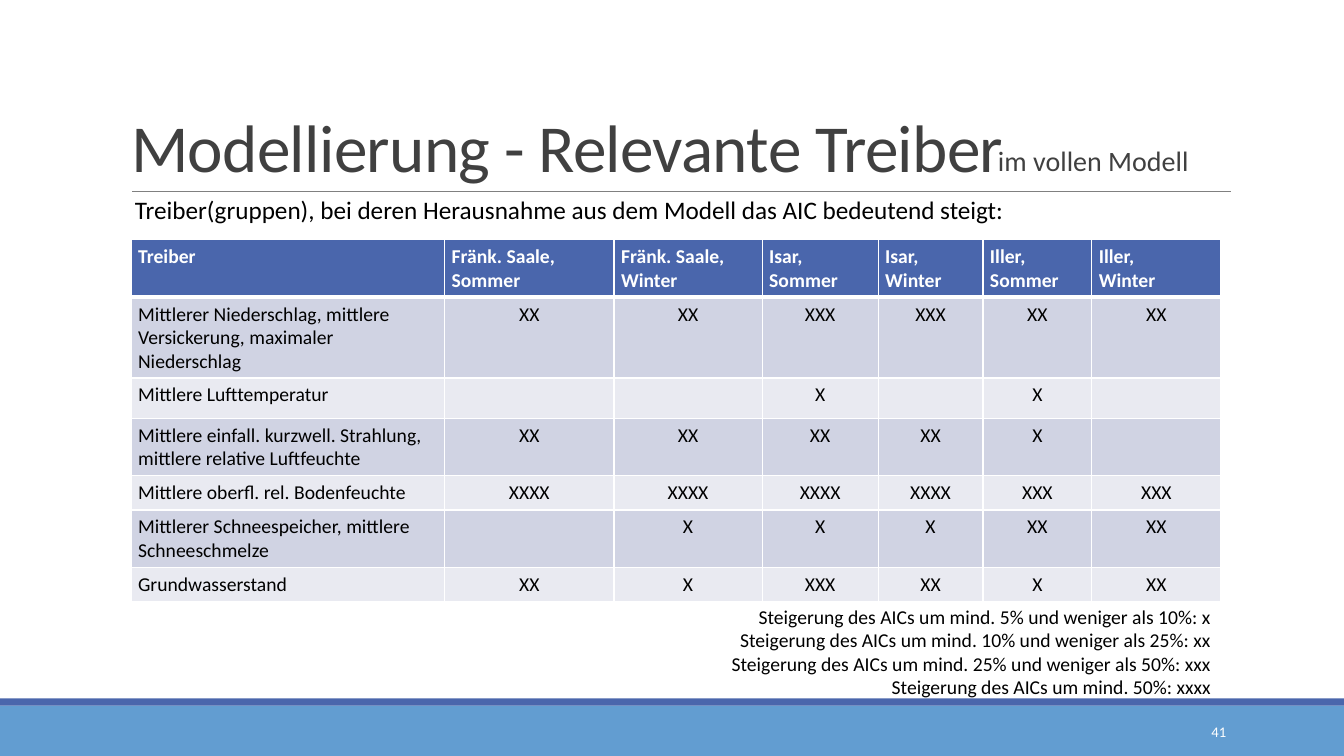
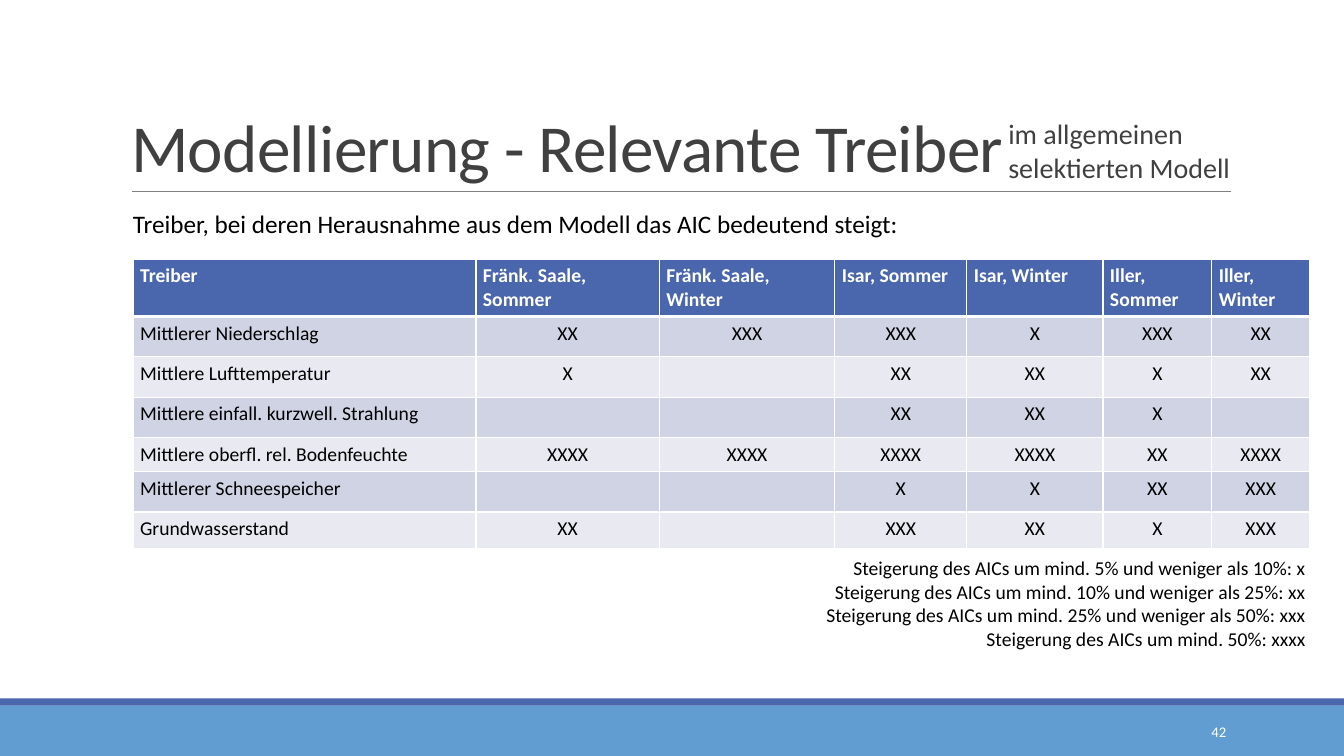
from lxml import etree
from pptx import Presentation
from pptx.dml.color import RGBColor
from pptx.enum.shapes import MSO_CONNECTOR, MSO_SHAPE
from pptx.enum.text import MSO_ANCHOR, MSO_AUTO_SIZE, PP_ALIGN
from pptx.oxml.ns import qn
from pptx.util import Inches, Pt

LEFT, CENTER, RIGHT = PP_ALIGN.LEFT, PP_ALIGN.CENTER, PP_ALIGN.RIGHT
TOP, MIDDLE, BOTTOM = MSO_ANCHOR.TOP, MSO_ANCHOR.MIDDLE, MSO_ANCHOR.BOTTOM
RECTANGLE, STRAIGHT, NO_FIT = MSO_SHAPE.RECTANGLE, MSO_CONNECTOR.STRAIGHT, MSO_AUTO_SIZE.NONE

WHITE = RGBColor(0xFF, 0xFF, 0xFF)
BLACK = RGBColor(0x00, 0x00, 0x00)
CHARCOAL = RGBColor(0x40, 0x40, 0x40)
GRAY = RGBColor(0x80, 0x80, 0x80)
SKY = RGBColor(0x62, 0x9D, 0xD1)
NAVY = RGBColor(0x4A, 0x66, 0xAC)
ROW_DARK = RGBColor(0xD0, 0xD3, 0xE3)
ROW_LIGHT = RGBColor(0xE9, 0xEA, 0xF1)

FONT = "Calibri"
CELL_SIZE = 14
TITLE_ONLY, TITLE_AND_BODY = 5, 1

TITLE = "Modellierung - Relevante Treiber"
LEGEND = [
    "Steigerung des AICs um mind. 5% und weniger als 10%: x",
    "Steigerung des AICs um mind. 10% und weniger als 25%: xx",
    "Steigerung des AICs um mind. 25% und weniger als 50%: xxx",
    "Steigerung des AICs um mind. 50%: xxxx",
]
HEADINGS = ["Treiber", "Fränk. Saale, Sommer", "Fränk. Saale, Winter",
            "Isar, Sommer", "Isar, Winter", "Iller, Sommer"]

# Each driver is followed by its number of X marks per river and season.
FULL_MODEL = [
    ("Mittlerer Niederschlag, mittlere Versickerung, maximaler Niederschlag",
     2, 2, 3, 3, 2, 2),
    ("Mittlere Lufttemperatur", 0, 0, 1, 0, 1, 0),
    ("Mittlere einfall. kurzwell. Strahlung, mittlere relative Luftfeuchte",
     2, 2, 2, 2, 1, 0),
    ("Mittlere oberfl. rel. Bodenfeuchte", 4, 4, 4, 4, 3, 3),
    ("Mittlerer Schneespeicher, mittlere Schneeschmelze", 0, 1, 1, 1, 2, 2),
    ("Grundwasserstand", 2, 1, 3, 2, 1, 2),
]
SELECTED_MODEL = [
    ("Mittlerer Niederschlag", 2, 3, 3, 1, 3, 2),
    ("Mittlere Lufttemperatur", 1, 0, 2, 2, 1, 2),
    ("Mittlere einfall. kurzwell. Strahlung", 0, 0, 2, 2, 1, 0),
    ("Mittlere oberfl. rel. Bodenfeuchte", 4, 4, 4, 4, 2, 4),
    ("Mittlerer Schneespeicher", 0, 0, 1, 1, 2, 3),
    ("Grundwasserstand", 2, 0, 3, 2, 1, 3),
]


class SlideBuilder:
    """Holds the deck style and the page being built."""

    def __init__(self):
        self.deck = Presentation()
        self.deck.slide_width = Inches(13.33)
        self.deck.slide_height = Inches(7.5)
        self.page = None

    def start_page(self, layout, number):
        """Add a page with the shared bands, rule, title and page number."""
        self.page = self.deck.slides.add_slide(self.deck.slide_layouts[layout])
        self.band(7, 0.5, SKY)
        self.band(6.93, 0.07, NAVY)
        self.rule(1.31, 1.9, 12.21)
        self.title(TITLE)
        self.text([str(number)], 10.83, 7.06, 1.43, 0.4, 10.5, WHITE, RIGHT, MIDDLE)

    def band(self, top, height, color):
        band = self.page.shapes.add_shape(
            RECTANGLE, 0, Inches(top), self.deck.slide_width, Inches(height))
        band.shadow.inherit = False
        band.fill.solid()
        band.fill.fore_color.rgb = color
        band.line.fill.background()

    def rule(self, left, top, right):
        rule = self.page.shapes.add_connector(
            STRAIGHT, Inches(left), Inches(top), Inches(right), Inches(top))
        rule.line.color.rgb = GRAY
        rule.line.width = Pt(0.5)
        etree.SubElement(rule._element.spPr, qn("a:effectLst"))

    def place(self, box, left, top, width, height):
        box.left, box.top = Inches(left), Inches(top)
        box.width, box.height = Inches(width), Inches(height)

    def fill_frame(self, frame, lines, size, color, align=LEFT, bold=False):
        """Fill a text frame with one single-run paragraph per line."""
        for index, line in enumerate(lines):
            para = frame.paragraphs[0] if index == 0 else frame.add_paragraph()
            para.alignment = align
            para.space_before = Pt(0)
            span = para.add_run()
            span.text = line
            span.font.name = FONT
            span.font.size = Pt(size)
            span.font.bold = bold
            span.font.color.rgb = color

    def title(self, text):
        box = self.page.shapes.title
        self.place(box, 1.2, 0.31, 11, 1.59)
        frame = box.text_frame
        frame.auto_size = NO_FIT
        frame.vertical_anchor = BOTTOM
        self.fill_frame(frame, [text], 48, CHARCOAL)
        para = frame.paragraphs[0]
        para.line_spacing = 0.85
        para.runs[0].font._element.set("spc", "-50")

    def body(self, lines, left, top, width, height):
        """Use the body placeholder for plain lines without bullets."""
        box = self.page.placeholders[1]
        self.place(box, left, top, width, height)
        frame = box.text_frame
        frame.auto_size = NO_FIT
        frame.margin_left = frame.margin_right = 0
        self.fill_frame(frame, lines, 20, CHARCOAL)
        for para in frame.paragraphs:
            properties = para._p.get_or_add_pPr()
            properties.set("marL", "0")
            properties.set("indent", "0")
            etree.SubElement(properties, qn("a:buNone"))

    def text(self, lines, left, top, width, height, size, color=BLACK,
             align=LEFT, anchor=TOP):
        box = self.page.shapes.add_textbox(0, 0, 0, 0)
        self.place(box, left, top, width, height)
        frame = box.text_frame
        frame.word_wrap = True
        frame.vertical_anchor = anchor
        self.fill_frame(frame, lines, size, color, align)

    def legend(self, left, top):
        self.text(LEGEND, left, top, 6.79, 1.04, CELL_SIZE, align=RIGHT)

    def cell(self, cell, lines, fill, borders, color=BLACK, align=LEFT, bold=False):
        """Style one cell; borders gives the left, right, top and bottom points."""
        properties = cell._tc.get_or_add_tcPr()
        for side, points in zip("LRTB", borders):
            line = etree.SubElement(properties, qn(f"a:ln{side}"), w=str(Pt(points)))
            solid = etree.SubElement(line, qn("a:solidFill"))
            etree.SubElement(solid, qn("a:srgbClr"), val=str(WHITE))
        cell.fill.solid()
        cell.fill.fore_color.rgb = fill
        cell.margin_left = cell.margin_right = Inches(0.07)
        cell.margin_top = cell.margin_bottom = Inches(0.05)
        if lines:
            self.fill_frame(cell.text_frame, lines, CELL_SIZE, color, align, bold)
        else:
            etree.SubElement(cell.text_frame.paragraphs[0]._p,
                             qn("a:endParaRPr"), sz=str(CELL_SIZE * 100))

    def table(self, headings, drivers, left, top, widths, heights):
        table = self.page.shapes.add_table(
            len(heights), len(widths), Inches(left), Inches(top),
            Inches(sum(widths)), Inches(sum(heights))).table
        for column, width in zip(table.columns, widths):
            column.width = Inches(width)
        for row, height in zip(table.rows, heights):
            row.height = Inches(height)
        for column, heading in enumerate(headings):
            self.cell(table.cell(0, column), heading.split("\n"), NAVY,
                      (1, 1, 1, 3), WHITE, bold=True)
        for row, (driver, *marks) in enumerate(drivers, 1):
            fill = ROW_DARK if row % 2 else ROW_LIGHT
            borders = (1, 1, 3 if row == 1 else 1, 1)
            self.cell(table.cell(row, 0), [driver], fill, borders)
            for column, count in enumerate(marks, 1):
                self.cell(table.cell(row, column), ["X" * count] if count else [],
                          fill, borders, align=CENTER)


def build_full_model(builder):
    builder.start_page(TITLE_ONLY, 41)
    builder.table(HEADINGS + ["Iller,\nWinter"], FULL_MODEL, 1.3, 2.38,
                  [3.11, 1.68, 1.47, 1.15, 1.04, 1.08, 1.28],
                  [0.57, 0.8, 0.4, 0.57, 0.34, 0.57, 0.34])
    builder.text(["im vollen Modell"], 9.8, 1.37, 3, 0.44, 20, CHARCOAL)
    builder.legend(5.32, 5.95)
    builder.text(["Treiber(gruppen), bei deren Herausnahme aus dem Modell "
                  "das AIC bedeutend steigt:"], 1.24, 1.88, 9.38, 0.4, 18)


def build_selected_model(builder):
    builder.start_page(TITLE_AND_BODY, 42)
    builder.body(["im allgemeinen", "selektierten Modell"], 10, 1.11, 3.2, 0.78)
    builder.table(HEADINGS + ["Iller, Winter"], SELECTED_MODEL, 1.32, 2.57,
                  [3.4, 1.82, 1.74, 1.31, 1.35, 1.08, 0.97],
                  [0.57, 0.4, 0.4, 0.4, 0.34, 0.4, 0.36])
    builder.text(["Treiber, bei deren Herausnahme aus dem Modell "
                  "das AIC bedeutend steigt:"], 1.22, 2.02, 9.1, 0.4, 18)
    builder.legend(6.26, 5.47)


def main():
    builder = SlideBuilder()
    build_full_model(builder)
    build_selected_model(builder)
    builder.deck.save("out.pptx")


if __name__ == "__main__":
    main()
